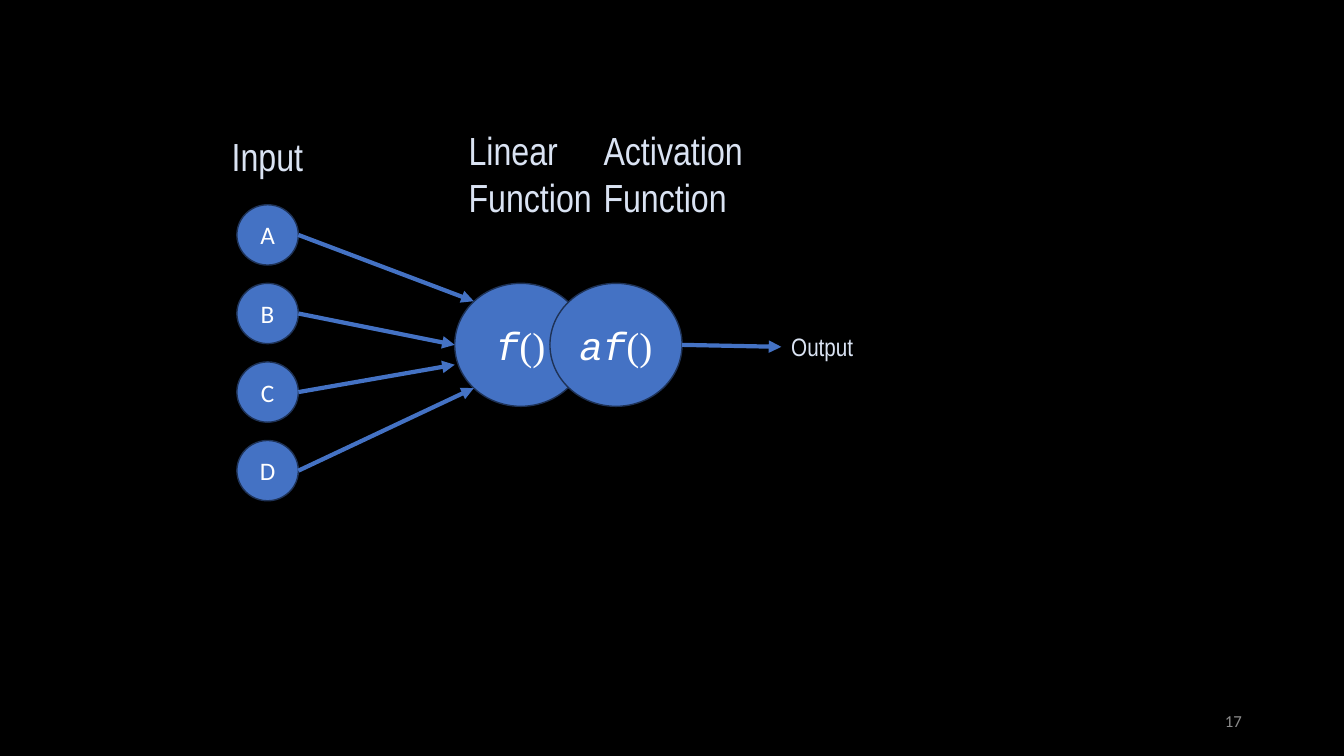
import pptx
import pptx.util
import pptx.dml.color
import pptx.enum.shapes
import pptx.enum.text
import pptx.oxml.ns
import lxml.etree

Cm = pptx.util.Cm
Pt = pptx.util.Pt
RGBColor = pptx.dml.color.RGBColor
ALIGN = pptx.enum.text.PP_ALIGN
ANCHOR = pptx.enum.text.MSO_ANCHOR

BLACK = RGBColor(0x00, 0x00, 0x00)
WHITE = RGBColor(0xFF, 0xFF, 0xFF)
BLUE = RGBColor(0x44, 0x72, 0xC4)
NAVY = RGBColor(0x1E, 0x32, 0x56)
PALE = RGBColor(0xDA, 0xE3, 0xF3)
GREY = RGBColor(0x8C, 0x8C, 0x8C)

INPUT_LEFT, INPUT_TOP, INPUT_W, INPUT_H, INPUT_PITCH = 5.97, 5.16, 1.55, 1.52, 1.98
NEURON_TOP, NEURON_W, NEURON_H = 7.14, 3.33, 3.1
LINEAR_LEFT, ACTIVATION_LEFT = 11.46, 13.86


def add_run(p, text, size=18, font="Calibri", color=WHITE, italic=False):
    r = p.add_run()
    r.text = text
    r.font.size = Pt(size)
    r.font.name = font
    r.font.color.rgb = color
    r.font.italic = italic


def add_circle(slide, left, top, width, height):
    """Draw an outlined ellipse and return its centred paragraph."""
    sp = slide.shapes.add_shape(pptx.enum.shapes.MSO_SHAPE.OVAL,
                                Cm(left), Cm(top), Cm(width), Cm(height))
    sp.shadow.inherit = False
    sp.fill.solid()
    sp.fill.fore_color.rgb = BLUE
    sp.line.color.rgb = NAVY
    sp.line.width = Pt(1)
    tf = sp.text_frame
    tf.word_wrap = False
    tf.vertical_anchor = ANCHOR.MIDDLE
    p = tf.paragraphs[0]
    p.alignment = ALIGN.CENTER
    return p


def add_neuron(slide, left, name):
    p = add_circle(slide, left, NEURON_TOP, NEURON_W, NEURON_H)
    add_run(p, name, size=28, font="Courier New", italic=True)
    add_run(p, "()", size=28, font="Times New Roman")


def add_label(slide, text, left, top, width, height,
              align=ALIGN.LEFT, anchor=ANCHOR.TOP, **style):
    sp = slide.shapes.add_textbox(Cm(left), Cm(top), Cm(width), Cm(height))
    tf = sp.text_frame
    tf.word_wrap = True
    tf.vertical_anchor = anchor
    p = tf.paragraphs[0]
    p.alignment = align
    add_run(p, text, **style)
    return sp


def add_arrow(slide, x1, y1, x2, y2):
    line = slide.shapes.add_connector(pptx.enum.shapes.MSO_CONNECTOR.STRAIGHT,
                                      Cm(x1), Cm(y1), Cm(x2), Cm(y2))
    line.line.color.rgb = BLUE
    line.line.width = Pt(3)
    qn = pptx.oxml.ns.qn
    ln = line.line._get_or_add_ln()
    lxml.etree.SubElement(ln, qn("a:tailEnd"), type="triangle")
    lxml.etree.SubElement(line._element.spPr, qn("a:effectLst"))
    return line


def main():
    prs = pptx.Presentation()
    prs.slide_width, prs.slide_height = Cm(33.87), Cm(19.05)
    slide = prs.slides.add_slide(prs.slide_layouts[6])
    slide.background.fill.solid()
    slide.background.fill.fore_color.rgb = BLACK

    add_neuron(slide, LINEAR_LEFT, "f")
    add_neuron(slide, ACTIVATION_LEFT, "af")

    arrow_tips = [(11.94, 7.59), (11.46, 8.69), (11.46, 9.19), (11.94, 9.78)]
    for i, (name, tip) in enumerate(zip("ABCD", arrow_tips)):
        top = INPUT_TOP + i * INPUT_PITCH
        add_run(add_circle(slide, INPUT_LEFT, top, INPUT_W, INPUT_H), name)
        add_arrow(slide, INPUT_LEFT + INPUT_W, top + INPUT_H / 2, *tip)

    heading = {"size": 28, "font": "Arial Narrow", "color": PALE}
    add_label(slide, "Input", 5.59, 3.2, 5.64, 1.45, **heading)
    add_label(slide, "Linear Function", 11.56, 3.05, 5.64, 2.64, **heading)
    add_label(slide, "Activation Function", 14.96, 3.05, 5.64, 2.64, **heading)

    output = add_label(slide, "Output", 19.69, 8.23, 4.6, 1.02,
                       font="Arial Narrow", color=PALE)
    arrow = add_arrow(slide, ACTIVATION_LEFT + NEURON_W,
                      NEURON_TOP + NEURON_H / 2, 19.69, 8.74)
    arrow.end_connect(output, 1)

    add_label(slide, "17", 23.93, 17.65, 7.62, 1.01, align=ALIGN.RIGHT,
              anchor=ANCHOR.MIDDLE, size=12, color=GREY)
    prs.save("out.pptx")


if __name__ == "__main__":
    main()
